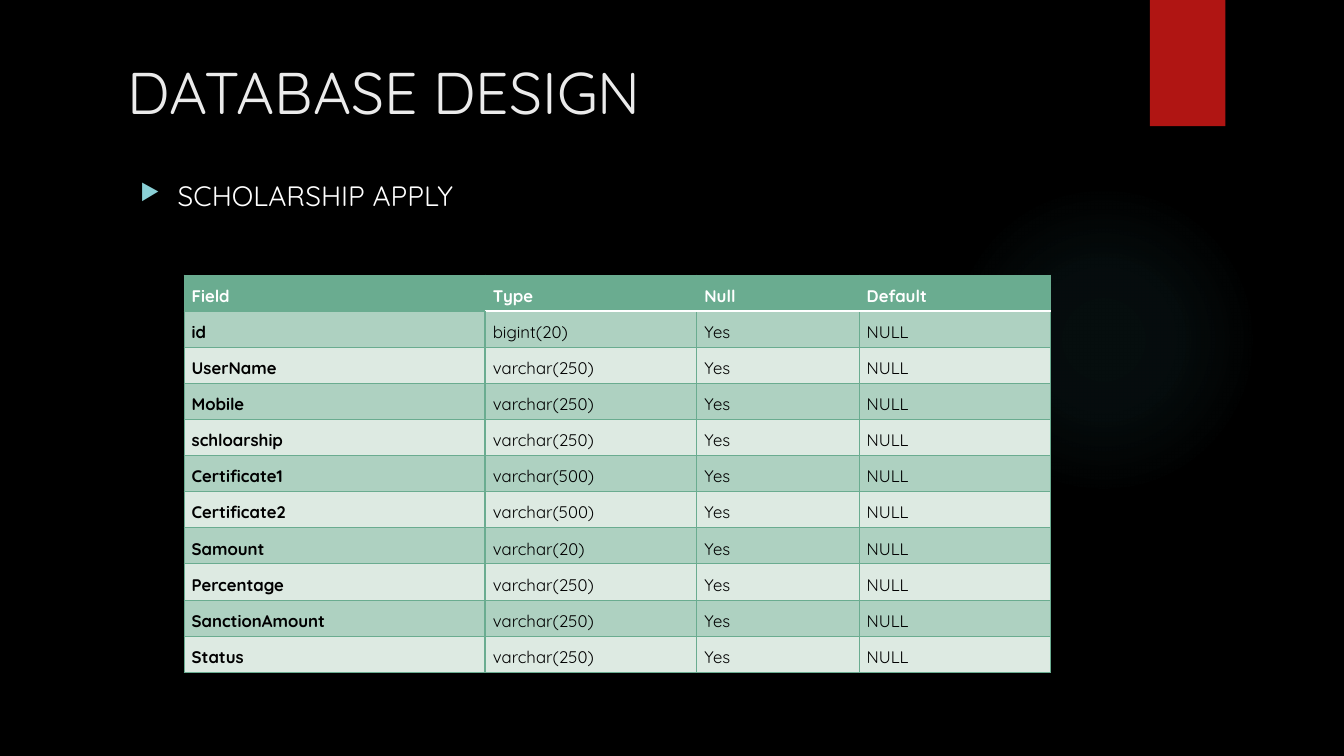
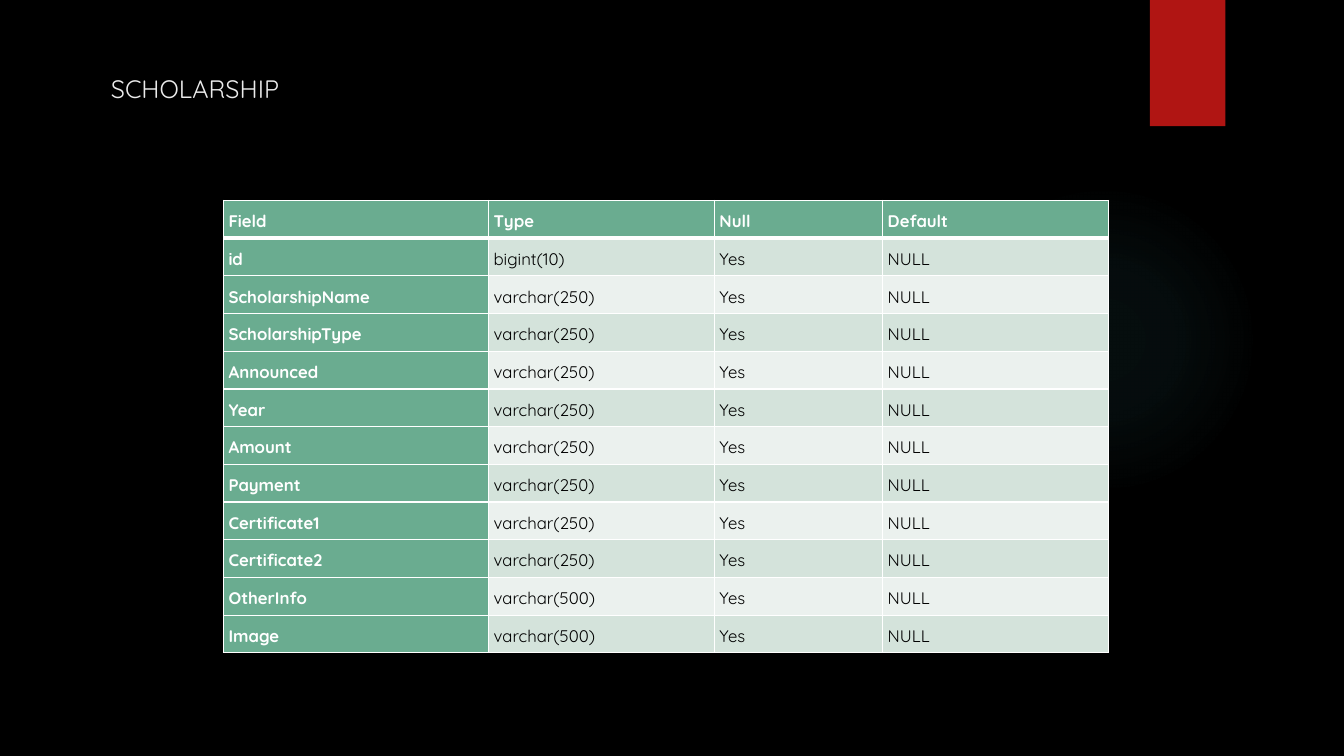
from lxml import etree
from pptx import Presentation
from pptx import util as u
from pptx.dml.color import RGBColor
from pptx.enum import shapes, text
from pptx.oxml import ns

FONT = "Quicksand"
BLACK, WHITE, TITLE = "000000", "FFFFFF", "EBEBEB"
RED, GLOW, BULLET, GREEN = "B01513", "50B9C1", "8AD0D6", "6AAC90"
GLOW_STOPS = [(0, 7), (36, 6), (69, 0)]
HEADINGS = ["Field", "Type", "Null", "Default"]
CONSTANTS = ["Yes", "NULL"]

SLIDES = [
    {
        "title": "DATABASE DESIGN",
        "title_size": 42,
        "title_box": (2.95, 1.27, 25, 3.89),
        "bullet": "SCHOLARSHIP APPLY",
        "table": {
            "corner": (4.64, 6.93),
            "columns": [7.59, 5.33, 4.09, 4.83],
            "row_height": 0.91,
            "margin": 0.19,
            "bands": ["AED1C1", "DDEAE2"],
            "first_column": {"fill": None, "color": BLACK},
            "grid": (GREEN, 0.75),
            "header_rule": (WHITE, 1.5),
            "header_rule_start": 1,
            "column_rule": (GREEN, 1.5),
        },
        "fields": [
            ("id", "bigint(20)"),
            ("UserName", "varchar(250)"),
            ("Mobile", "varchar(250)"),
            ("schloarship", "varchar(250)"),
            ("Certificate1", "varchar(500)"),
            ("Certificate2", "varchar(500)"),
            ("Samount", "varchar(20)"),
            ("Percentage", "varchar(250)"),
            ("SanctionAmount", "varchar(250)"),
            ("Status", "varchar(250)"),
        ],
    },
    {
        "title": "SCHOLARSHIP",
        "title_size": 18,
        "title_box": (2.54, 1.73, 6.07, 4.45),
        "bullet": None,
        "table": {
            "corner": (5.63, 5.05),
            "columns": [6.68, 5.69, 4.24, 5.69],
            "row_height": 0.95,
            "margin": 0.13,
            "bands": ["D4E3DB", "EBF1EE"],
            "first_column": {"fill": GREEN, "color": WHITE},
            "grid": (WHITE, 1),
            "header_rule": (WHITE, 3),
            "header_rule_start": 0,
            "column_rule": (WHITE, 1),
        },
        "fields": [
            ("id", "bigint(10)"),
            ("ScholarshipName", "varchar(250)"),
            ("ScholarshipType", "varchar(250)"),
            ("Announced", "varchar(250)"),
            ("Year", "varchar(250)"),
            ("Amount", "varchar(250)"),
            ("Payment", "varchar(250)"),
            ("Certificate1", "varchar(250)"),
            ("Certificate2", "varchar(250)"),
            ("OtherInfo", "varchar(500)"),
            ("Image", "varchar(500)"),
        ],
    },
]


def rgb(value):
    return RGBColor.from_string(value)


def cm(*values):
    return [u.Cm(value) for value in values]


def assign(target, values):
    for name, value in values.items():
        setattr(target, name, value)


def add_xml(parent, tag, **attributes):
    return etree.SubElement(parent, ns.qn(tag), {k: str(v) for k, v in attributes.items()})


def write(paragraph, content, size, color, bold=False, **layout):
    paragraph.text = content
    assign(paragraph, layout)
    assign(paragraph.font, {"name": FONT, "size": u.Pt(size), "bold": bold})
    paragraph.font.color.rgb = rgb(color)


def add_plain_shape(slide, kind, box, color):
    shape = slide.shapes.add_shape(kind, *cm(*box))
    shape.shadow.inherit = False
    shape.fill.solid()
    shape.fill.fore_color.rgb = rgb(color)
    shape.line.fill.background()
    return shape


def add_decoration(slide):
    glow = add_plain_shape(slide, shapes.MSO_SHAPE.OVAL, (23.9, 4.65, 7.82, 7.82), GLOW)
    properties = glow.fill._xPr
    solid = properties.find(ns.qn("a:solidFill"))
    gradient = etree.Element(ns.qn("a:gradFill"), rotWithShape="1")
    stops = add_xml(gradient, "a:gsLst")
    for position, alpha in GLOW_STOPS:
        stop = add_xml(stops, "a:gs", pos=position * 1000)
        add_xml(add_xml(stop, "a:srgbClr", val=GLOW), "a:alpha", val=alpha * 1000)
    centre = add_xml(gradient, "a:path", path="circle")
    add_xml(centre, "a:fillToRect", l=50000, t=50000, r=50000, b=50000)
    properties.replace(solid, gradient)
    add_plain_shape(slide, shapes.MSO_SHAPE.RECTANGLE, (28.98, 0, 1.9, 3.18), RED)


def set_title(slide, content, size, box):
    title = slide.shapes.title
    assign(title, dict(zip(("left", "top", "width", "height"), cm(*box))))
    assign(title.text_frame, {
        "word_wrap": True,
        "auto_size": text.MSO_AUTO_SIZE.NONE,
        "vertical_anchor": text.MSO_ANCHOR.TOP,
    })
    write(title.text_frame.paragraphs[0], content, size, TITLE, alignment=text.PP_ALIGN.LEFT)


def add_bullet(slide, content):
    box = slide.shapes.add_textbox(*cm(3.28, 4.37, 28.78, 1.5))
    box.text_frame.word_wrap = True
    paragraph = box.text_frame.paragraphs[0]
    properties = paragraph._p.get_or_add_pPr()
    indent = u.Cm(0.95)
    properties.set("marL", str(indent))
    properties.set("indent", str(-indent))
    add_xml(add_xml(properties, "a:buClr"), "a:srgbClr", val=BULLET)
    add_xml(properties, "a:buSzPct", val=80000)
    add_xml(properties, "a:buChar", char="▶")
    write(paragraph, content, 20, WHITE)


def cell_borders(style, row, column):
    borders = dict.fromkeys(("a:lnL", "a:lnR", "a:lnT", "a:lnB"), style["grid"])
    if row > 0 and column < 2:
        borders["a:lnR" if column == 0 else "a:lnL"] = style["column_rule"]
    if row < 2 and column >= style["header_rule_start"]:
        borders["a:lnB" if row == 0 else "a:lnT"] = style["header_rule"]
    return borders


def cell_look(style, row, column):
    if row == 0:
        return GREEN, WHITE, True
    band = style["bands"][(row - 1) % 2]
    if column == 0:
        first = style["first_column"]
        return first["fill"] or band, first["color"], True
    return band, BLACK, False


def format_cell(cell, content, style, row, column):
    properties = cell._tc.get_or_add_tcPr()
    for tag, (color, width) in cell_borders(style, row, column).items():
        line = add_xml(properties, tag, w=u.Pt(width))
        add_xml(add_xml(line, "a:solidFill"), "a:srgbClr", val=color)
    fill, color, bold = cell_look(style, row, column)
    cell.fill.solid()
    cell.fill.fore_color.rgb = rgb(fill)
    margin = u.Cm(style["margin"])
    assign(cell, {
        "margin_left": margin,
        "margin_right": margin,
        "margin_top": 0,
        "margin_bottom": 0,
        "vertical_anchor": text.MSO_ANCHOR.TOP,
    })
    write(cell.text_frame.paragraphs[0], content, 12, color, bold,
          alignment=text.PP_ALIGN.JUSTIFY, line_spacing=1.5, space_after=u.Pt(10))


def add_field_table(slide, fields, style):
    rows = [HEADINGS] + [[*field, *CONSTANTS] for field in fields]
    widths, height = style["columns"], style["row_height"]
    box = (*style["corner"], sum(widths), height * len(rows))
    table = slide.shapes.add_table(len(rows), len(widths), *cm(*box)).table
    for column, width in zip(table.columns, widths):
        column.width = u.Cm(width)
    for row_index, row in enumerate(rows):
        table.rows[row_index].height = u.Cm(height)
        for column_index, content in enumerate(row):
            cell = table.cell(row_index, column_index)
            format_cell(cell, content, style, row_index, column_index)


def main():
    presentation = Presentation()
    assign(presentation, {"slide_width": u.Cm(33.87), "slide_height": u.Cm(19.05)})
    background = presentation.slide_master.background.fill
    background.solid()
    background.fore_color.rgb = rgb(BLACK)
    for page in SLIDES:
        slide = presentation.slides.add_slide(presentation.slide_layouts[5])
        add_decoration(slide)
        set_title(slide, page["title"], page["title_size"], page["title_box"])
        if page["bullet"]:
            add_bullet(slide, page["bullet"])
        add_field_table(slide, page["fields"], page["table"])
    presentation.save("out.pptx")


if __name__ == "__main__":
    main()
